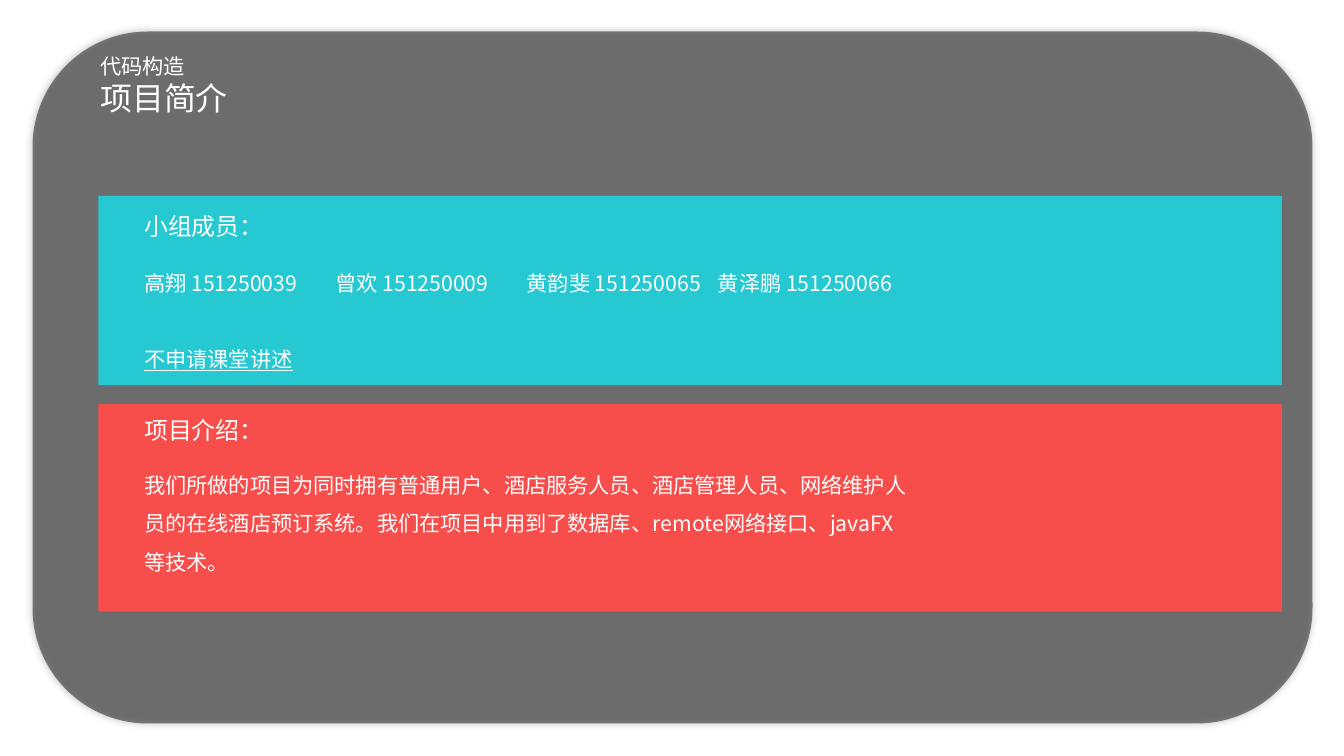
from lxml.etree import Element, SubElement
from pptx import Presentation
from pptx.dml.color import RGBColor
from pptx.enum.shapes import MSO_SHAPE as Preset
from pptx.enum.text import MSO_ANCHOR as Anchor, MSO_AUTO_SIZE as AutoSize, PP_ALIGN as Align
from pptx.oxml.ns import qn
from pptx.util import Inches, Pt

COLORS = {"panel": "0D0D0D", "shadow": "000000", "members": "26C8D2",
          "project": "F84E4B", "text": "FFFFFF"}
HEADING_FONT = "Arial"
BODY_FONT = "Noto Sans CJK SC"


class SlideBuilder:
    """Holds the colours and current slide, and adds each kind of element."""

    def __init__(self, slide, colors):
        self.slide = slide
        self.colors = colors

    def block(self, preset, box, color):
        shape = self.slide.shapes.add_shape(preset, *map(Inches, box))
        shape.shadow.inherit = False
        shape.fill.solid()
        shape.fill.fore_color.rgb = RGBColor.from_string(self.colors[color])
        shape.line.fill.background()
        return shape

    def panel(self, box):
        properties = self.block(Preset.ROUNDED_RECTANGLE, box, "panel").element.spPr
        fill_color = properties.find(qn("a:solidFill"))[0]
        SubElement(fill_color, qn("a:alpha"), val="50000")
        shadow = SubElement(properties.find(qn("a:effectLst")), qn("a:outerShdw"),
                            blurRad=str(Pt(5)), dist="0", dir="0", algn="ctr", rotWithShape="0")
        shadow_color = SubElement(shadow, qn("a:srgbClr"), val=self.colors["shadow"])
        SubElement(shadow_color, qn("a:alpha"), val="40000")

    def set_text(self, shape, lines, font, spacing, wrap=True):
        frame = shape.text_frame
        frame.text = "\n".join(text for text, size in lines)
        frame.auto_size = AutoSize.NONE
        frame.word_wrap = wrap
        frame.vertical_anchor = Anchor.TOP
        for paragraph, (text, size) in zip(frame.paragraphs, lines):
            paragraph.alignment = Align.LEFT
            paragraph.line_spacing = spacing
            paragraph.space_before = Pt(0)
            paragraph.font.name = font
            paragraph.font.size = Pt(size)
            paragraph.font.color.rgb = RGBColor.from_string(self.colors["text"])

    def heading(self, box, text):
        shape = self.slide.shapes.add_textbox(*map(Inches, box))
        self.set_text(shape, [(text, 18)], HEADING_FONT, 1.2, wrap=False)

    def placeholder(self, index, box, lines, font, spacing):
        shape = self.slide.placeholders[index]
        shape.left, shape.top, shape.width, shape.height = map(Inches, box)
        self.slide.shapes.element.append(shape.element)
        self.set_text(shape, lines, font, spacing)
        return shape

    def title(self, box, lines):
        self.placeholder(0, box, lines, HEADING_FONT, 1.0)

    def body(self, index, box, texts):
        lines = [(text, 16) for text in texts]
        shape = self.placeholder(index, box, lines, BODY_FONT, 1.5)
        for properties in shape.element.iter(qn("a:pPr")):
            properties.set("marL", "0")
            properties.set("indent", "0")
            properties.find(qn("a:defRPr")).addprevious(Element(qn("a:buNone")))
        return shape.text_frame.paragraphs


def main():
    presentation = Presentation()
    presentation.slide_width = Inches(14.06)
    presentation.slide_height = Inches(7.91)
    slide = presentation.slides.add_slide(presentation.slide_layouts[3])
    builder = SlideBuilder(slide, COLORS)

    builder.panel((0.34, 0.33, 13.39, 7.24))
    builder.block(Preset.RECTANGLE, (1.03, 4.23, 12.38, 2.17), "project")
    builder.block(Preset.RECTANGLE, (1.03, 2.05, 12.38, 1.98), "members")
    builder.heading((1.41, 2.11, 1.48, 0.47), "小组成员：")
    builder.heading((1.41, 4.24, 1.48, 0.47), "项目介绍：")

    members = ["高翔 151250039", "曾欢 151250009", "黄韵斐 151250065", "黄泽鹏 151250066"]
    names, remark = builder.body(1, (1.41, 2.64, 9.48, 1.27),
                                 ["\t".join(members), "不申请课堂讲述"])
    remark.space_before = Pt(28.5)
    remark.font.underline = True
    builder.body(2, (1.41, 4.76, 8.21, 1.32), [
        "我们所做的项目为同时拥有普通用户、酒店服务人员、酒店管理人员、网络维护人员的在线酒店预订系统。"
        "我们在项目中用到了数据库、remote网络接口、javaFX等技术。"])
    builder.title((0.95, 0.51, 3.72, 0.77), [("代码构造", 16), ("项目简介", 24)])
    presentation.save("out.pptx")


if __name__ == "__main__":
    main()
